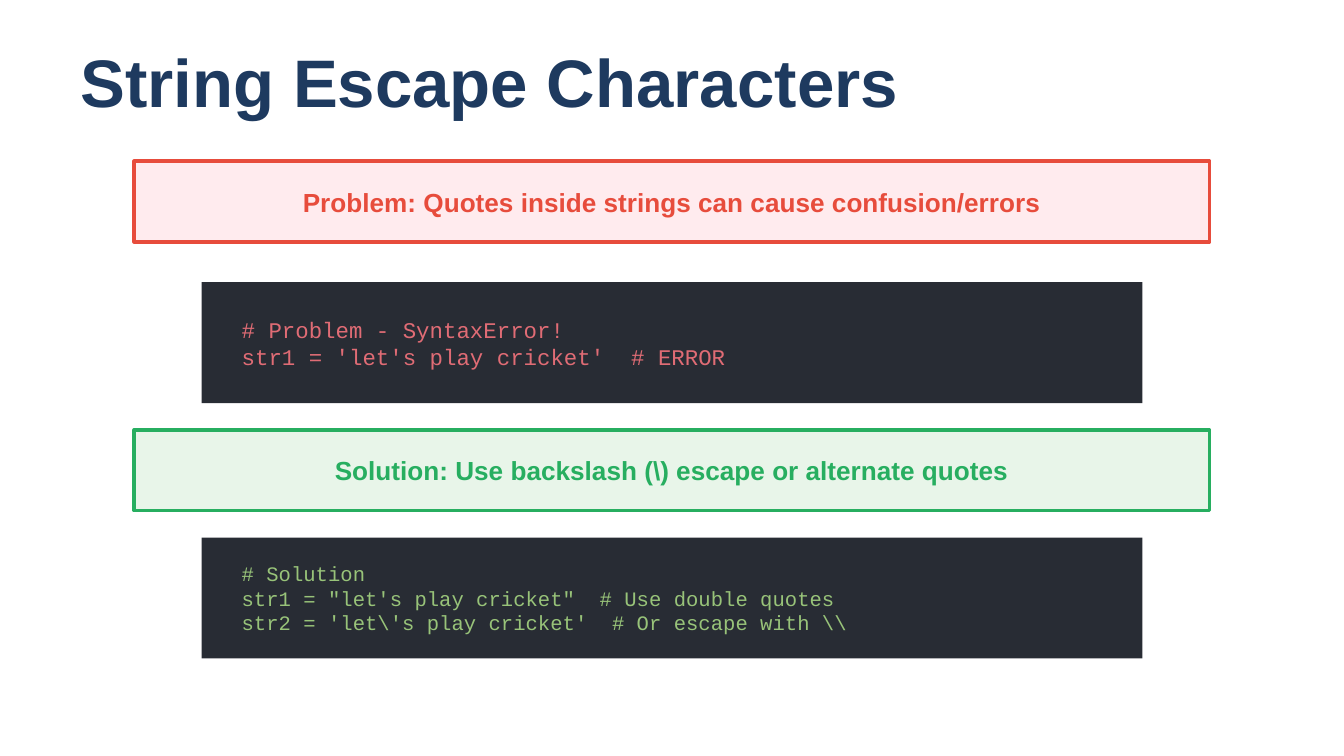
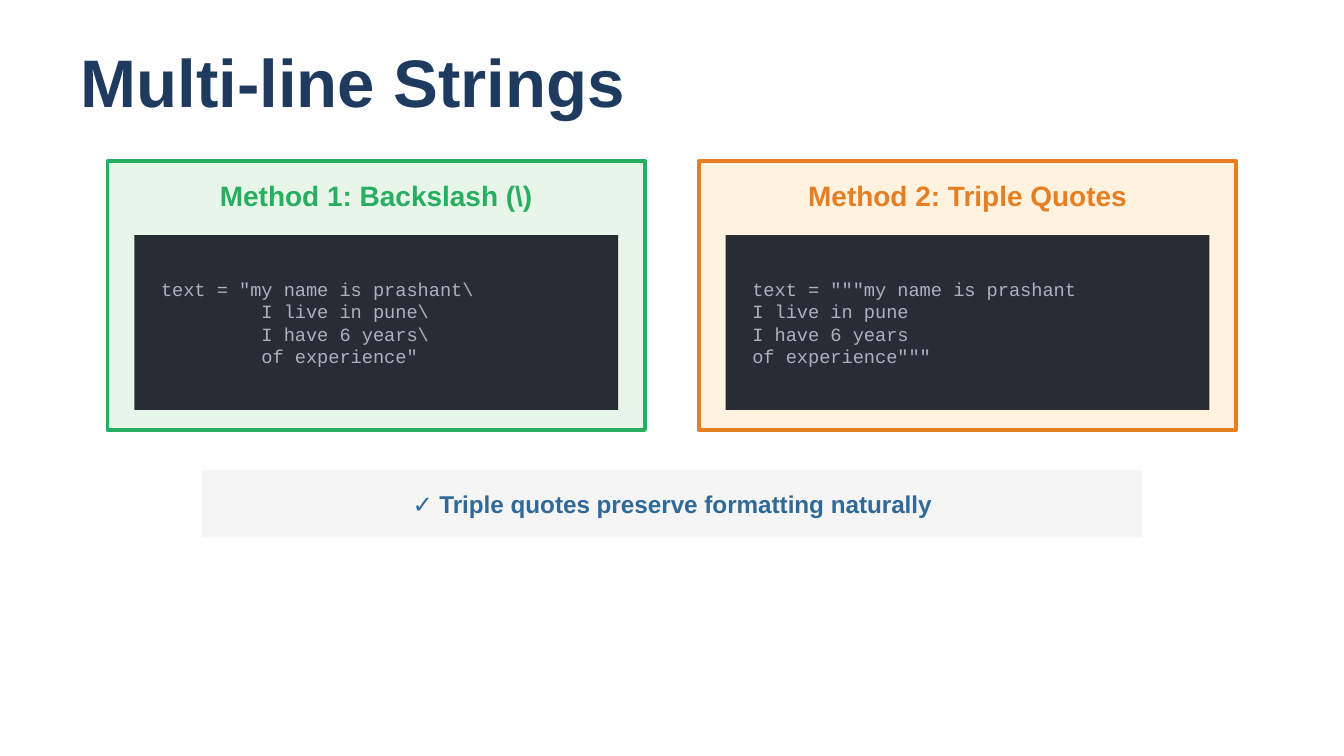
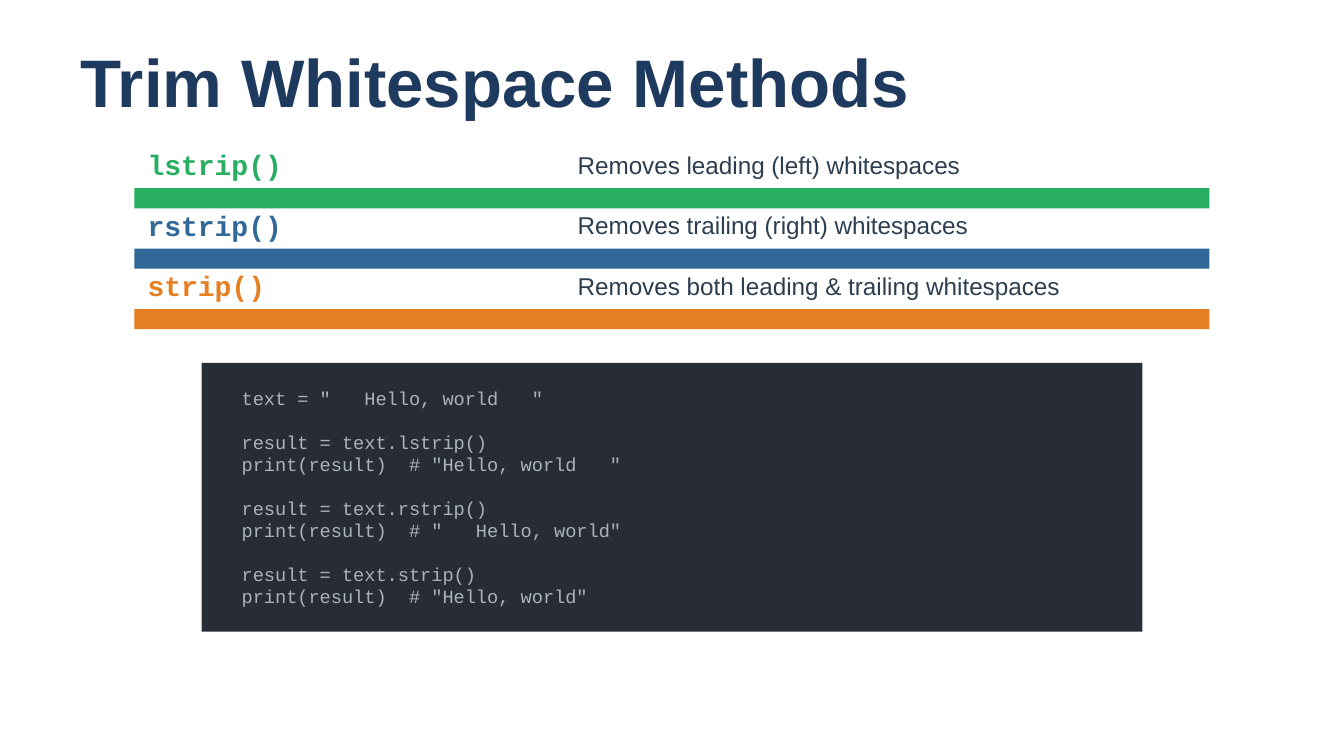
from pptx import Presentation
from pptx.dml.color import RGBColor
from pptx.enum import shapes, text
from pptx.util import Pt

NAVY = RGBColor(0x1E, 0x3A, 0x5F)
BLUE = RGBColor(0x30, 0x69, 0x98)
SLATE = RGBColor(0x2C, 0x3E, 0x50)
RED = RGBColor(0xE7, 0x4C, 0x3C)
GREEN = RGBColor(0x27, 0xAE, 0x60)
ORANGE = RGBColor(0xE6, 0x7E, 0x22)
PALE_RED = RGBColor(0xFF, 0xEB, 0xEE)
PALE_GREEN = RGBColor(0xE8, 0xF5, 0xE9)
PALE_ORANGE = RGBColor(0xFF, 0xF3, 0xE0)
PALE_GREY = RGBColor(0xF5, 0xF5, 0xF5)
CODE_BACK = RGBColor(0x28, 0x2C, 0x34)
CODE_GREY = RGBColor(0xAB, 0xB2, 0xBF)
CODE_RED = RGBColor(0xE0, 0x6C, 0x75)
CODE_GREEN = RGBColor(0x98, 0xC3, 0x79)

SANS, MONO = "Arial", "Courier New"
LEFT, CENTER = text.PP_ALIGN.LEFT, text.PP_ALIGN.CENTER
TITLE_ONLY = 5
WIDE_X, WIDE_W = 72, 576      # banners and method rows
INNER_X, INNER_W = 108, 504   # code blocks and notes
LINE_HEIGHT = 1.13            # of the monospaced font, in ems


def write(frame, content, size, color, bold=False, font=SANS, align=LEFT):
    """Fill a text frame, one paragraph per line, in a single style."""
    frame.word_wrap = True
    frame.auto_size = text.MSO_AUTO_SIZE.NONE
    frame.vertical_anchor = text.MSO_ANCHOR.MIDDLE
    frame.text = content
    for paragraph in frame.paragraphs:
        paragraph.alignment = align
        for run in paragraph.runs:
            run.font.size = Pt(size)
            run.font.name = font
            run.font.bold = bold
            run.font.color.rgb = color


def add_label(slide, box, content, size, color, **style):
    frame = slide.shapes.add_textbox(*map(Pt, box)).text_frame
    write(frame, content, size, color, **style)
    return frame


def add_panel(slide, box, fill, border=None):
    panel = slide.shapes.add_shape(shapes.MSO_SHAPE.RECTANGLE, *map(Pt, box))
    panel.shadow.inherit = False
    panel.fill.solid()
    panel.fill.fore_color.rgb = fill
    if border is None:
        panel.line.fill.background()
    else:
        panel.line.color.rgb = border
        panel.line.width = Pt(2)


def add_titled_slide(deck, title):
    slide = deck.slides.add_slide(deck.slide_layouts[TITLE_ONLY])
    heading = slide.shapes.title
    heading.left, heading.top, heading.width, heading.height = map(Pt, (36, 21.6, 648, 43.2))
    write(heading.text_frame, title, 36, NAVY, bold=True)
    return slide


def add_banner(slide, y, message, color, fill):
    add_panel(slide, (WIDE_X, y, WIDE_W, 43.2), fill, color)
    add_label(slide, (WIDE_X, y + 7.2, WIDE_W, 28.8), message, 14, color, bold=True, align=CENTER)


def add_code(slide, box, groups, size, color=CODE_GREY, inset=(14.4, 10.8)):
    """Draw groups of code lines on a dark panel, one line's gap between groups."""
    x, y, width, height = box
    dx, dy = inset
    add_panel(slide, box, CODE_BACK)
    lines = [line for group in groups for line in group]
    frame = add_label(slide, (x + dx, y + dy, width - 2 * dx, height - 2 * dy),
                      "\n".join(lines), size, color, font=MONO)
    start = 0
    for group in groups[:-1]:
        start += len(group)
        frame.paragraphs[start].space_before = Pt(round(size * LINE_HEIGHT, 1))


def add_method_card(slide, box, heading, color, fill, code):
    x, y, width, height = box
    add_panel(slide, box, fill, color)
    add_label(slide, (x, y + 7.2, width, 21.6), heading, 15, color, bold=True, align=CENTER)
    add_code(slide, (x + 14.4, y + 39.6, width - 28.8, height - 50.4), [code], 10,
             inset=(7.2, 7.2))


def add_note(slide, y, message):
    add_panel(slide, (INNER_X, y, INNER_W, 36), PALE_GREY)
    add_label(slide, (INNER_X, y + 7.2, INNER_W, 21.6), message, 13, BLUE,
              bold=True, align=CENTER)


def add_method_row(slide, y, method, purpose, color):
    """Name and purpose of a method above a coloured bar."""
    add_panel(slide, (WIDE_X, y + 21.6, WIDE_W, 10.8), color)
    add_label(slide, (WIDE_X, y, 216, 18), method, 15, color, bold=True, font=MONO)
    add_label(slide, (WIDE_X + 230.4, y, 345.6, 18), purpose, 13, SLATE)


def build_escape_slide(deck):
    slide = add_titled_slide(deck, "String Escape Characters")
    add_banner(slide, 86.4, "Problem: Quotes inside strings can cause confusion/errors",
               RED, PALE_RED)
    add_code(slide, (INNER_X, 151.2, INNER_W, 64.8), [[
        "# Problem - SyntaxError!",
        "str1 = 'let's play cricket'  # ERROR",
    ]], 12, CODE_RED)
    add_banner(slide, 230.4, "Solution: Use backslash (\\) escape or alternate quotes",
               GREEN, PALE_GREEN)
    add_code(slide, (INNER_X, 288, INNER_W, 64.8), [[
        "# Solution",
        "str1 = \"let's play cricket\"  # Use double quotes",
        "str2 = 'let\\'s play cricket'  # Or escape with \\\\",
    ]], 11, CODE_GREEN)


def build_multiline_slide(deck):
    slide = add_titled_slide(deck, "Multi-line Strings")
    cards = [
        ("Method 1: Backslash (\\)", GREEN, PALE_GREEN, [
            'text = "my name is prashant\\',
            "         I live in pune\\",
            "         I have 6 years\\",
            '         of experience"',
        ]),
        ("Method 2: Triple Quotes", ORANGE, PALE_ORANGE, [
            'text = """my name is prashant',
            "I live in pune",
            "I have 6 years",
            'of experience"""',
        ]),
    ]
    for column, card in enumerate(cards):
        add_method_card(slide, (57.6 + column * 316.8, 86.4, 288, 144), *card)
    add_note(slide, 252, "✓ Triple quotes preserve formatting naturally")


def build_trim_slide(deck):
    slide = add_titled_slide(deck, "Trim Whitespace Methods")
    methods = [
        ("lstrip()", "Removes leading (left) whitespaces", GREEN),
        ("rstrip()", "Removes trailing (right) whitespaces", BLUE),
        ("strip()", "Removes both leading & trailing whitespaces", ORANGE),
    ]
    for row, method in enumerate(methods):
        add_method_row(slide, 79.2 + row * 32.4, *method)
    add_code(slide, (INNER_X, 194.4, INNER_W, 144), [
        ['text = "   Hello, world   "'],
        ["result = text.lstrip()", 'print(result)  # "Hello, world   "'],
        ["result = text.rstrip()", 'print(result)  # "   Hello, world"'],
        ["result = text.strip()", 'print(result)  # "Hello, world"'],
    ], 10)


def main():
    deck = Presentation()
    deck.slide_width, deck.slide_height = Pt(720), Pt(405)
    build_escape_slide(deck)
    build_multiline_slide(deck)
    build_trim_slide(deck)
    deck.save("out.pptx")


if __name__ == "__main__":
    main()
